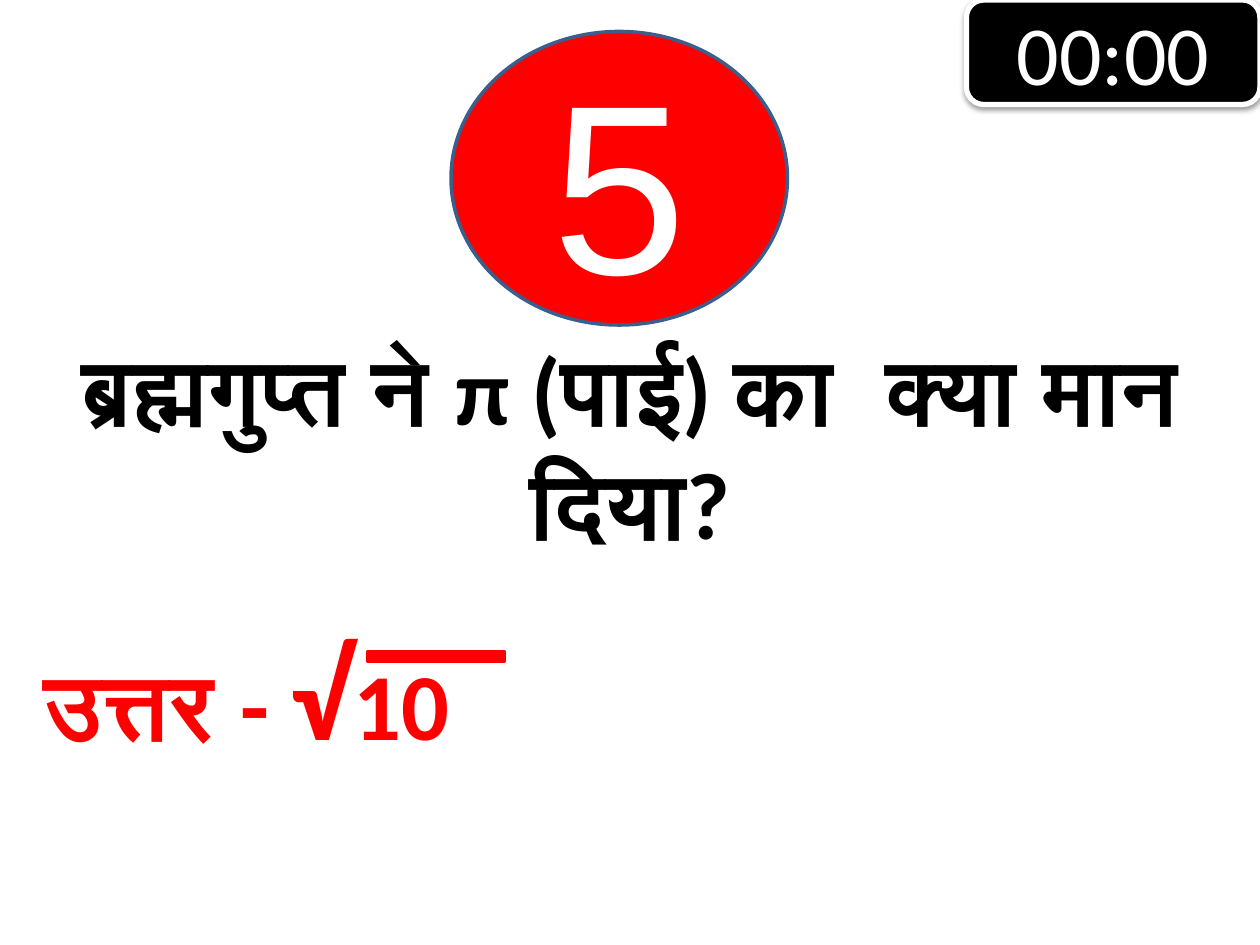
from dataclasses import dataclass

from lxml import etree
from pptx import Presentation
from pptx.dml.color import RGBColor
from pptx.enum.shapes import MSO_SHAPE
from pptx.enum.text import MSO_ANCHOR, MSO_AUTO_SIZE, PP_ALIGN
from pptx.oxml.ns import qn
from pptx.util import Inches, Pt

BLACK = RGBColor(0x00, 0x00, 0x00)
WHITE = RGBColor(0xFF, 0xFF, 0xFF)
RED = RGBColor(0xFF, 0x00, 0x00)
BLUE = RGBColor(0x3A, 0x5F, 0x8C)

OVAL = MSO_SHAPE.OVAL
ROUNDED = MSO_SHAPE.ROUNDED_RECTANGLE
RECTANGLE = MSO_SHAPE.RECTANGLE
TOP, MIDDLE = MSO_ANCHOR.TOP, MSO_ANCHOR.MIDDLE
CENTER = PP_ALIGN.CENTER
GROW = MSO_AUTO_SIZE.SHAPE_TO_FIT_TEXT

TITLE_ONLY = 5


@dataclass(frozen=True)
class Box:
    left: float
    top: float
    width: float
    height: float

    def lengths(self):
        return [Inches(n) for n in (self.left, self.top, self.width, self.height)]


@dataclass(frozen=True)
class Panel:
    kind: MSO_SHAPE
    box: Box
    fill: RGBColor
    line: RGBColor
    line_width: float


BADGE = Panel(OVAL, Box(3.58, 0.25, 2.67, 2.33), RED, BLUE, 2)
TIMER = Panel(ROUNDED, Box(7.67, 0, 2.33, 0.83), BLACK, WHITE, 3)
ROOT_BAR = Panel(RECTANGLE, Box(2.92, 5.17, 1.08, 0.08), RED, RED, 2)
QUESTION_BOX = Box(0, 2.58, 10, 1.92)
ANSWER_BOX = Box(0, 4.83, 4.08, 1.31)


def add_panel(shapes, panel: Panel):
    shape = shapes.add_shape(panel.kind, *panel.box.lengths())
    shape.shadow.inherit = False
    shape.fill.solid()
    shape.fill.fore_color.rgb = panel.fill
    shape.line.color.rgb = panel.line
    shape.line.width = Pt(panel.line_width)
    return shape


def write(shape, *runs: tuple[str, float], color: RGBColor, font="Calibri",
          bold=False, anchor=MIDDLE, wrap=True, auto_size=None) -> None:
    """Fill the shape with one centred paragraph of (text, size) runs."""
    frame = shape.text_frame
    frame.word_wrap = wrap
    frame.vertical_anchor = anchor
    if auto_size is not None:
        frame.auto_size = auto_size
    paragraph = frame.paragraphs[0]
    paragraph.alignment = CENTER
    for text, size in runs:
        run = paragraph.add_run()
        run.text = text
        run.font.name = font
        run.font.size = Pt(size)
        run.font.bold = bold
        run.font.color.rgb = color


def add_drop_shadow(shape, blur: float, distance: float, opacity: int) -> None:
    effects = shape.element.spPr.find(qn("a:effectLst"))
    shadow = etree.SubElement(
        effects, qn("a:outerShdw"), blurRad=str(Pt(blur)),
        dist=str(Pt(distance)), dir="5400000", rotWithShape="0")
    color = etree.SubElement(shadow, qn("a:srgbClr"), val=str(BLACK))
    etree.SubElement(color, qn("a:alpha"), val=str(opacity * 1000))


def main() -> None:
    deck = Presentation()
    deck.slide_width, deck.slide_height = Inches(10), Inches(7.5)
    slide = deck.slides.add_slide(deck.slide_layouts[TITLE_ONLY])

    badge = add_panel(slide.shapes, BADGE)
    write(badge, ("5", 138), color=WHITE, font="Arial")

    timer = add_panel(slide.shapes, TIMER)
    add_drop_shadow(timer, blur=3.1, distance=1.6, opacity=38)
    write(timer, ("00:00", 48), color=WHITE)

    question = slide.shapes.title
    question.left, question.top, question.width, question.height = QUESTION_BOX.lengths()
    write(question, ("ब्रह्मगुप्त ने π (पाई) का  क्या मान दिया?", 54),
          color=BLACK, bold=True, anchor=TOP, auto_size=GROW)

    answer_group = slide.shapes.add_group_shape()
    answer = answer_group.shapes.add_textbox(*ANSWER_BOX.lengths())
    write(answer, ("उत्तर - ", 54), ("√", 72), ("10 ", 54),
          color=RED, bold=True, anchor=TOP, wrap=False, auto_size=GROW)
    add_panel(answer_group.shapes, ROOT_BAR)

    deck.save("out.pptx")


if __name__ == "__main__":
    main()
